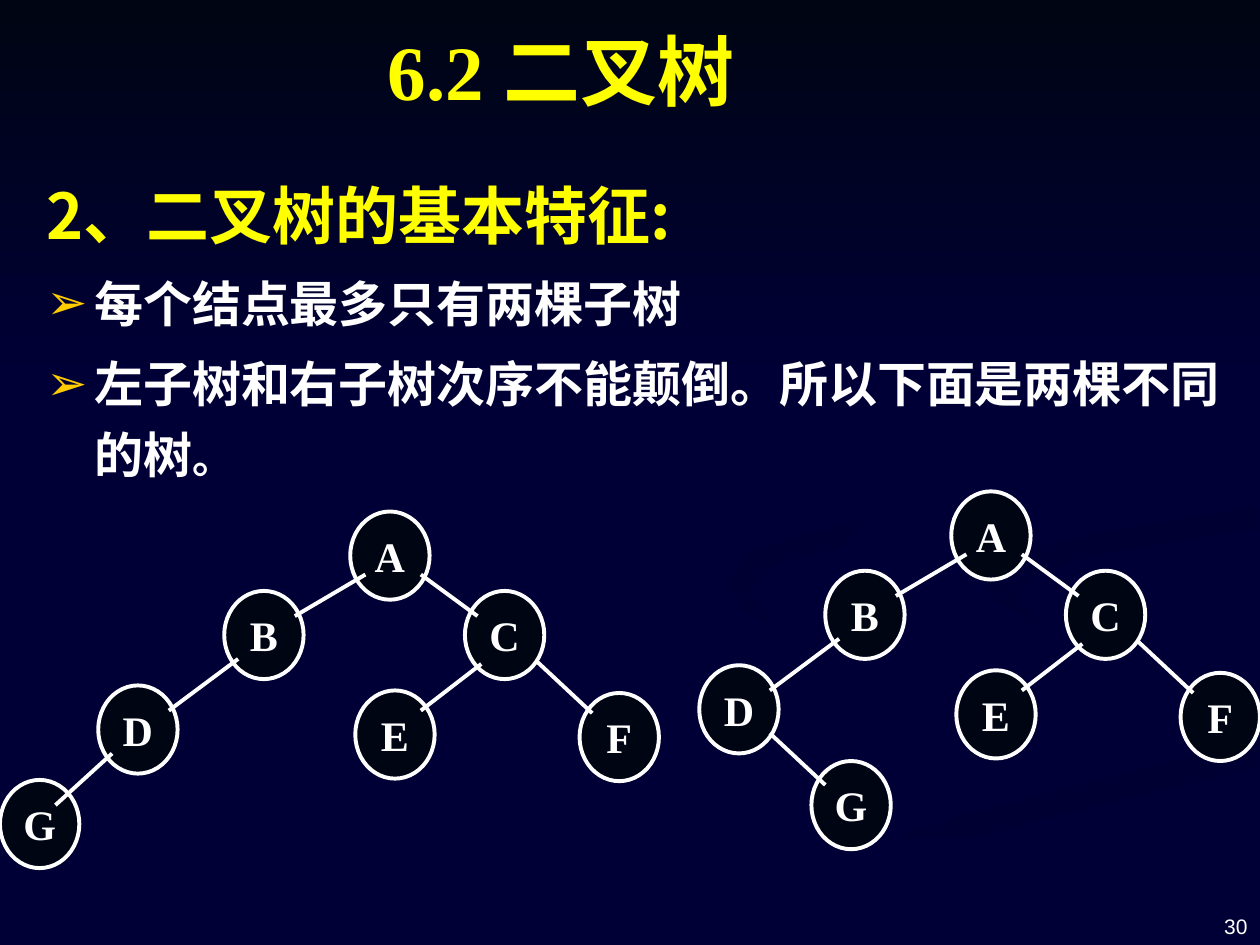
from typing import NamedTuple

from lxml import etree
from pptx import Presentation
from pptx.dml.color import RGBColor
from pptx.enum.shapes import MSO_CONNECTOR, MSO_SHAPE
from pptx.enum.text import MSO_ANCHOR, PP_ALIGN
from pptx.oxml.ns import qn
from pptx.util import Inches, Pt

OVAL, RECT = MSO_SHAPE.OVAL, MSO_SHAPE.RECTANGLE
STRAIGHT = MSO_CONNECTOR.STRAIGHT
BOTTOM, MIDDLE, TOP = MSO_ANCHOR.BOTTOM, MSO_ANCHOR.MIDDLE, MSO_ANCHOR.TOP
CENTER, RIGHT, LEFT = PP_ALIGN.CENTER, PP_ALIGN.RIGHT, PP_ALIGN.LEFT

NAVY, INK, WHITE, YELLOW, GOLD = "000036", "000514", "FFFFFF", "FFFF00", "FFCC00"
ARIAL, TIMES, NOTO = "Arial", "Times New Roman", "Noto Sans CJK SC"
NODE_W, NODE_H = 0.63, 0.7
INDENT = 0.38


class Swirl(NamedTuple):
    colors: tuple
    angle: int
    points: list


class Node(NamedTuple):
    label: str
    x: float
    y: float


class Edge(NamedTuple):
    x1: float
    y1: float
    x2: float
    y2: float


class Tree(NamedTuple):
    dx: float
    dy: float
    leaf: Node
    leaf_edge: Edge


class Item(NamedTuple):
    runs: list
    font: str
    color: str
    before: float
    bullet: str = ""


SWIRLS = [
    Swirl((NAVY, "000034"), 0, [
        (7.81, 5.53), (7.31, 5.33), (6.42, 5.07), (5.94, 4.85), (5.75, 4.59),
        (5.7, 4.72), (5.93, 4.91), (6.54, 5.13), (7.28, 5.35), (7.76, 5.53),
        (7.86, 5.66), (7.74, 5.83), (7.14, 6.05), (5.79, 6.39), (4.58, 6.74),
        (3.76, 7.07), (3, 7.49), (3.61, 7.49), (4.66, 7), (5.64, 6.65),
        (6.76, 6.34), (7.69, 6.09), (8, 5.81), (7.92, 5.61)]),
    Swirl((NAVY, "000034"), 45, [
        (9.43, 5.7), (9.3, 5.53), (8.88, 5.35), (7.92, 5.09), (7.45, 4.9),
        (7.24, 4.64), (7.3, 4.84), (7.66, 5.12), (8.38, 5.36), (8.92, 5.53),
        (9.18, 5.81), (8.94, 6.05), (9.32, 5.89)]),
    Swirl(("000032", NAVY), 90, [
        (5.19, 7.47), (5.03, 7.49), (5.71, 7.49), (6.3, 7.19), (7.22, 6.82),
        (8.21, 6.51), (9.98, 6.09), (9.98, 5.81), (9.36, 6.02), (7.64, 6.47),
        (6.3, 6.93)]),
    Swirl((NAVY,), 0, [
        (7.25, 4.64), (7.45, 4.9), (8.12, 5.15), (9.05, 5.4), (9.43, 5.7),
        (9.26, 5.93), (8.43, 6.18), (7.04, 6.55), (5.73, 7.03), (4.77, 7.49),
        (5.19, 7.47), (6.3, 6.93), (7.65, 6.47), (9.36, 6.02), (9.99, 5.81),
        (9.99, 5.38), (9.04, 5.19), (8.17, 4.92), (7.81, 4.63), (8.11, 4.37),
        (8.99, 4.18), (9.99, 4.02), (9.99, 3.87), (9.2, 4.01), (7.88, 4.22),
        (7.32, 4.46)]),
    Swirl(("000033", NAVY), 45, [
        (7.81, 4.6), (7.91, 4.78), (8.26, 4.96), (8.05, 4.76), (8.16, 4.59),
        (8.59, 4.43), (9.36, 4.29), (9.98, 4.2), (9.98, 4.02), (8.98, 4.18),
        (8.1, 4.37)]),
    Swirl(("000032", NAVY), 45, [
        (6.83, 4.3), (7.86, 4.12), (8.55, 3.91), (8.89, 3.62), (8.93, 3.35),
        (8.73, 2.99), (8.21, 2.61), (7.62, 2.33), (8.26, 2.66), (8.76, 3.06),
        (8.89, 3.35), (8.7, 3.65), (8.18, 3.86), (6.76, 4.14), (5.97, 4.37),
        (5.77, 4.62), (5.9, 4.84), (6.22, 5), (5.93, 4.7), (6.14, 4.48)]),
]

# Both trees share these parts; only the place of G differs.
NODES = [Node("B", 1.78, 4.69), Node("A", 2.78, 4.06), Node("C", 3.69, 4.69),
         Node("E", 2.82, 5.48), Node("D", 0.78, 5.44), Node("F", 4.6, 5.5)]
EDGES = [Edge(2.9, 4.56, 2.34, 4.89), Edge(1.89, 5.23, 1.34, 5.64),
         Edge(3.34, 4.56, 3.79, 4.89), Edge(4.25, 5.24, 4.7, 5.66),
         Edge(3.82, 5.27, 3.34, 5.64)]
TREES = [
    Tree(4.77, -0.16, Node("G", 1.67, 6.2), Edge(1.34, 5.98, 1.78, 6.39)),
    Tree(0, 0, Node("G", 0, 6.19), Edge(0.89, 5.98, 0.44, 6.39)),
]

ITEMS = [
    Item([("2、二叉树的基本特征:", 36)], NOTO, YELLOW, 7.2),
    Item([("每个结点最多只有两棵子树", 28)], TIMES, WHITE, 5.6, "➢"),
    Item([("左子树和右子树次序不能颠倒。所以下面是两棵不同的树", 28), ("。", 24)],
         TIMES, WHITE, 5.6, "➢"),
]


def rgb(value: str) -> RGBColor:
    return RGBColor.from_string(value)


def paint(sp, colors: tuple, angle: int = 0) -> None:
    """Fill with one colour or a two-stop gradient at a clockwise angle."""
    sp.shadow.inherit = False
    if len(colors) == 1:
        sp.fill.solid()
        sp.fill.fore_color.rgb = rgb(colors[0])
        return
    sp.fill.gradient()
    sp.fill.gradient_angle = -angle % 360
    for stop, color in zip(sp.fill.gradient_stops, colors):
        stop.color.rgb = rgb(color)


def add_run(p, text: str, font: str, size: float, color: str, bold: bool = True) -> None:
    r = p.add_run()
    r.text = text
    for name, value in {"name": font, "size": Pt(size), "bold": bold}.items():
        setattr(r.font, name, value)
    r.font.color.rgb = rgb(color)
    etree.SubElement(r._r.get_or_add_rPr(), qn("a:ea"), typeface=NOTO)


def add_textbox(s, x: float, y: float, w: float, h: float, anchor, align):
    """Add an empty wrapping text box and return its text frame."""
    tf = s.shapes.add_textbox(Inches(x), Inches(y), Inches(w), Inches(h)).text_frame
    tf.word_wrap, tf.vertical_anchor = True, anchor
    tf.paragraphs[0].alignment = align
    return tf


def draw_swirl(s, swirl: Swirl) -> None:
    points = [(Inches(x), Inches(y)) for x, y in swirl.points]
    builder = s.shapes.build_freeform(*points[0])
    builder.add_line_segments(points[1:], close=True)
    sp = builder.convert_to_shape()
    paint(sp, swirl.colors, swirl.angle)
    sp.line.fill.background()


def draw_node(s, node: Node, dx: float, dy: float) -> None:
    sp = s.shapes.add_shape(OVAL, Inches(node.x + dx), Inches(node.y + dy),
                            Inches(NODE_W), Inches(NODE_H))
    paint(sp, (INK,))
    sp.line.color.rgb, sp.line.width = rgb(WHITE), Pt(2.25)
    tf = sp.text_frame
    tf.word_wrap, tf.vertical_anchor = False, MIDDLE
    p = tf.paragraphs[0]
    p.alignment, p.space_before = CENTER, Pt(4.8)
    add_run(p, node.label, TIMES, 24, WHITE)


def draw_edge(s, edge: Edge, dx: float, dy: float) -> None:
    line = s.shapes.add_connector(STRAIGHT, Inches(edge.x1 + dx), Inches(edge.y1 + dy),
                                  Inches(edge.x2 + dx), Inches(edge.y2 + dy))
    line.line.color.rgb, line.line.width = rgb(WHITE), Pt(2.25)
    etree.SubElement(line._element.spPr, qn("a:effectLst"))


def draw_tree(s, tree: Tree) -> None:
    for node in [*NODES, tree.leaf]:
        draw_node(s, node, tree.dx, tree.dy)
    for edge in [*EDGES, tree.leaf_edge]:
        draw_edge(s, edge, tree.dx, tree.dy)


def add_item(p, item: Item) -> None:
    p.space_before, p.line_spacing = Pt(item.before), 1.2
    pPr = p._p.get_or_add_pPr()
    pPr.set("marL", str(Inches(INDENT)))
    pPr.set("indent", str(-Inches(INDENT)))
    if item.bullet:
        color = etree.SubElement(pPr, qn("a:buClr"))
        etree.SubElement(color, qn("a:srgbClr"), val=GOLD)
        etree.SubElement(pPr, qn("a:buFont"), typeface=ARIAL)
        etree.SubElement(pPr, qn("a:buChar"), char=item.bullet)
    for text, size in item.runs:
        add_run(p, text, item.font, size, item.color)


def main() -> None:
    prs = Presentation()
    prs.slide_width, prs.slide_height = Inches(10), Inches(7.5)
    s = prs.slides.add_slide(prs.slide_layouts[6])
    s.background.fill.solid()
    s.background.fill.fore_color.rgb = rgb(NAVY)

    for swirl in SWIRLS:
        draw_swirl(s, swirl)
    sky = s.shapes.add_shape(RECT, 0, 0, Inches(10), Inches(3.08))
    paint(sky, (INK, NAVY), 90)
    sky.line.fill.background()

    number = add_textbox(s, 7.67, 6.98, 2.33, 0.52, BOTTOM, RIGHT)
    add_run(number.paragraphs[0], "30", ARIAL, 12, WHITE, bold=False)

    body = add_textbox(s, 0.27, 1.23, 9.73, 2.05, TOP, LEFT)
    for i, item in enumerate(ITEMS):
        add_item(body.add_paragraph() if i else body.paragraphs[0], item)

    for tree in TREES:
        draw_tree(s, tree)

    title = add_textbox(s, 2.33, 0.34, 4.25, 0.63, BOTTOM, CENTER)
    add_run(title.paragraphs[0], "6.2 二叉树", TIMES, 44, YELLOW)
    prs.save("out.pptx")


if __name__ == "__main__":
    main()
